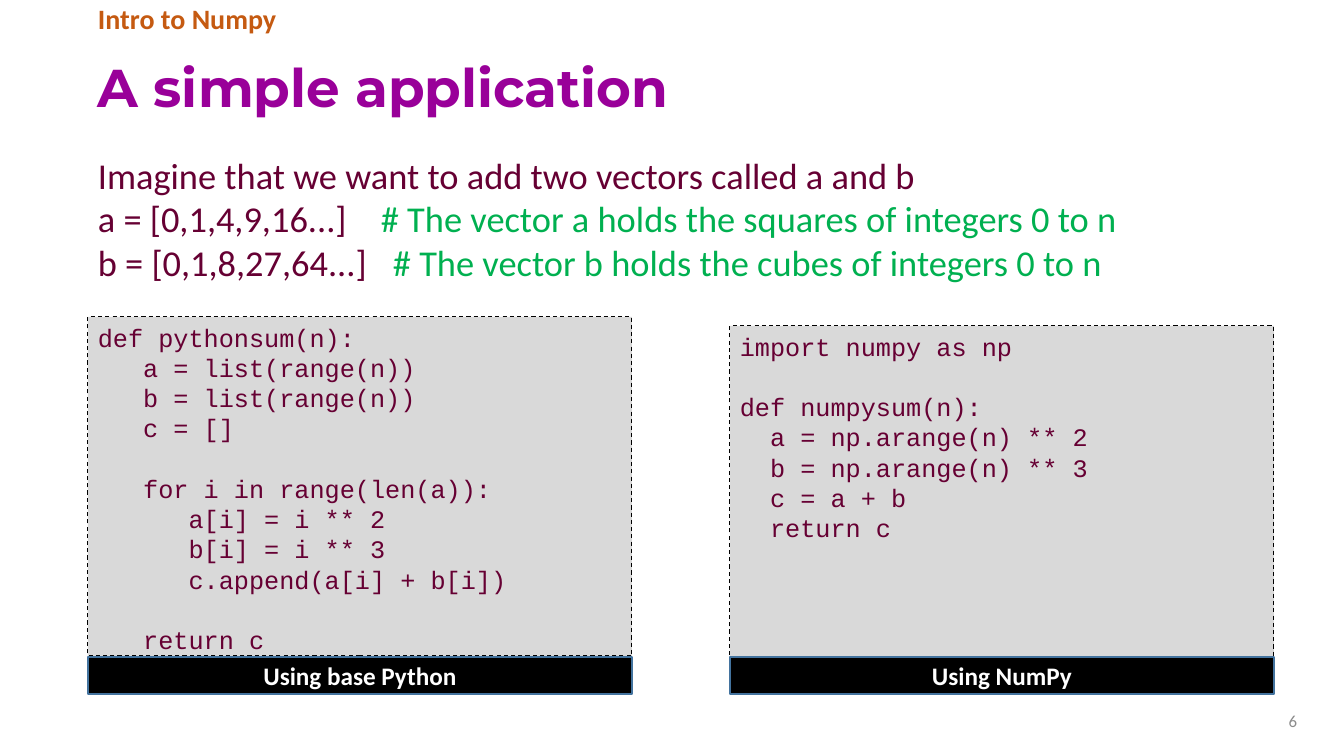
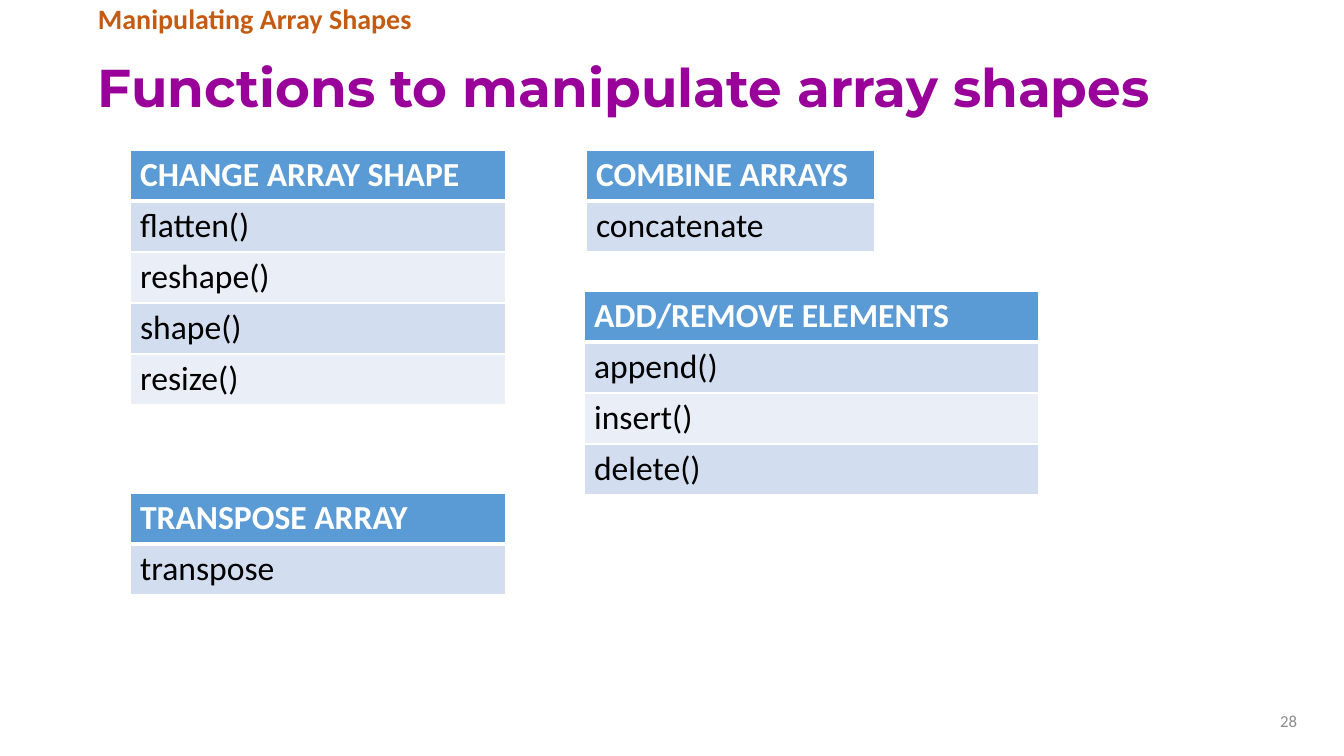
from lxml import etree
from pptx import Presentation
from pptx.dml.color import RGBColor
from pptx.enum.dml import MSO_LINE
from pptx.enum.shapes import MSO_SHAPE
from pptx.enum.text import MSO_ANCHOR as ANCHOR, PP_ALIGN as ALIGN
from pptx.oxml.ns import qn
from pptx.util import Emu, Pt

# 100.8 px to the inch
EMU_PER_PX = 914400 / 100.8


def px(length):
    return Emu(round(length * EMU_PER_PX))


def rgb(color):
    return RGBColor.from_string(color)


class Deck:
    BODY, CODE, HEADING = "Calibri", "Courier New", "Montserrat"
    WHITE, BLACK = "FFFFFF", "000000"
    PURPLE, ORANGE, WINE, GREEN = "990099", "C55A11", "660033", "00B050"
    PANEL, CAPTION_LINE, NUMBER = "D9D9D9", "43739E", "8C8C8C"
    TABLE_HEAD, BANDS = "5B9BD5", ("D2DEEF", "EAEFF7")
    LEFT, CONTENT_WIDTH, ROW_HEIGHT = 88, 1219, 51

    def __init__(self):
        self.prs = Presentation()
        self.prs.slide_width, self.prs.slide_height = px(1344), px(756)
        self.slide = None

    # Text helpers
    def run(self, paragraph, text, size, color, font=BODY, bold=False):
        run = paragraph.add_run()
        run.text = text
        run.font.size, run.font.name, run.font.bold = Pt(size), font, bold
        run.font.color.rgb = rgb(color)

    def paragraphs(self, frame, count):
        frame.word_wrap = True
        return [frame.paragraphs[0]] + [frame.add_paragraph() for _ in range(count - 1)]

    def text_box(self, left, top, width, height, anchor=ANCHOR.TOP):
        box = self.slide.shapes.add_textbox(px(left), px(top), px(width), px(height))
        box.text_frame.vertical_anchor = anchor
        return box.text_frame

    def line(self, frame, text, size, color, align=ALIGN.LEFT, spacing=None, **style):
        paragraph = self.paragraphs(frame, 1)[0]
        paragraph.alignment, paragraph.line_spacing = align, spacing
        self.run(paragraph, text, size, color, **style)

    # Shared slide parts
    def new_slide(self, section, title, number):
        self.slide = self.prs.slides.add_slide(self.prs.slide_layouts[6])
        self.line(self.text_box(self.LEFT, 0, self.CONTENT_WIDTH, 41),
                  section, 20, self.ORANGE, spacing=0.9, bold=True)
        self.line(self.text_box(self.LEFT, 41, self.CONTENT_WIDTH, 98, ANCHOR.MIDDLE),
                  title, 38, self.PURPLE, spacing=0.9, font=self.HEADING, bold=True)
        self.line(self.text_box(978, 701, 329, 40, ANCHOR.MIDDLE),
                  number, 12, self.NUMBER, ALIGN.RIGHT)

    # Statement lines, each with an optional comment at its own tab stop
    def statements(self, top, height, rows):
        frame = self.text_box(self.LEFT, top, self.CONTENT_WIDTH, height)
        for paragraph, (code, comment, stop) in zip(self.paragraphs(frame, len(rows)), rows):
            self.run(paragraph, code, 26, self.WINE)
            if comment:
                tabs = etree.SubElement(paragraph._p.get_or_add_pPr(), qn("a:tabLst"))
                etree.SubElement(tabs, qn("a:tab"), pos=str(px(stop)), algn="l")
                self.run(paragraph, "\t" + comment, 26, self.GREEN)

    def rectangle(self, left, top, width, height, fill, line, weight):
        shape = self.slide.shapes.add_shape(
            MSO_SHAPE.RECTANGLE, px(left), px(top), px(width), px(height))
        shape.shadow.inherit = False
        shape.fill.solid()
        shape.fill.fore_color.rgb = rgb(fill)
        shape.line.color.rgb = rgb(line)
        shape.line.width = Pt(weight)
        return shape

    # Code panel with a caption bar; each block after the first is set off by one line
    def code_panel(self, left, top, blocks, caption):
        panel = self.rectangle(left, top, 544, 339, self.PANEL, self.BLACK, 0.75)
        panel.line.dash_style = MSO_LINE.DASH
        panel.text_frame.vertical_anchor = ANCHOR.TOP
        code = [(text, i > 0 and j == 0)
                for i, block in enumerate(blocks) for j, text in enumerate(block)]
        for paragraph, (text, set_off) in zip(
                self.paragraphs(panel.text_frame, len(code)), code):
            paragraph.alignment = ALIGN.LEFT
            paragraph.space_before = Pt(21.6 if set_off else 0)
            self.run(paragraph, text, 18, self.WINE, self.CODE)
        bar = self.rectangle(left, 657, 544, 37, self.BLACK, self.CAPTION_LINE, 1)
        bar.text_frame.vertical_anchor = ANCHOR.MIDDLE
        self.line(bar.text_frame, caption, 18, self.WHITE, ALIGN.CENTER, bold=True)

    # One-column table: heading, then banded rows
    def borders(self, cell, top, bottom):
        properties = cell._tc.get_or_add_tcPr()
        for side, weight in (("L", 1), ("R", 1), ("T", top), ("B", bottom)):
            edge = etree.SubElement(properties, qn("a:ln" + side), w=str(Pt(weight)))
            fill = etree.SubElement(edge, qn("a:solidFill"))
            etree.SubElement(fill, qn("a:srgbClr"), val=self.WHITE)

    def function_table(self, left, top, width, heading, functions):
        entries = [heading, *functions]
        table = self.slide.shapes.add_table(
            len(entries), 1, px(left), px(top), px(width),
            px(self.ROW_HEIGHT * len(entries))).table
        table.horz_banding = False
        for i, entry in enumerate(entries):
            is_head = i == 0
            cell = table.cell(i, 0)
            self.borders(cell, 3 if i == 1 else 1, 3 if is_head else 1)
            cell.fill.solid()
            cell.fill.fore_color.rgb = rgb(
                self.TABLE_HEAD if is_head else self.BANDS[(i - 1) % 2])
            self.line(cell.text_frame, entry, 24,
                      self.WHITE if is_head else self.BLACK, bold=is_head)


def main():
    deck = Deck()

    # Vector addition in two ways
    deck.new_slide("Intro to Numpy", "A simple application", "6")
    deck.statements(148, 150, [
        ("Imagine that we want to add two vectors called a and b", None, 0),
        ("a = [0,1,4,9,16...]", "# The vector a holds the squares of integers 0 to n", 283),
        ("b = [0,1,8,27,64...]", "# The vector b holds the cubes of integers 0 to n", 295),
    ])
    deck.code_panel(88, 317, [
        ["def pythonsum(n):",
         "   a = list(range(n))",
         "   b = list(range(n))",
         "   c = []"],
        ["   for i in range(len(a)):",
         "      a[i] = i ** 2",
         "      b[i] = i ** 3",
         "      c.append(a[i] + b[i])"],
        ["   return c"],
    ], "Using base Python")
    deck.code_panel(730, 326, [
        ["import numpy as np"],
        ["def numpysum(n):",
         "  a = np.arange(n) ** 2",
         "  b = np.arange(n) ** 3",
         "  c = a + b",
         "  return c"],
    ], "Using NumPy")

    # Array functions by purpose
    deck.new_slide("Manipulating Array Shapes", "Functions to manipulate array shapes", "28")
    for left, top, width, heading, functions in (
        (130, 150, 376, "CHANGE ARRAY SHAPE", ["flatten()", "reshape()", "shape()", "resize()"]),
        (130, 493, 376, "TRANSPOSE ARRAY", ["transpose"]),
        (586, 150, 289, "COMBINE ARRAYS", ["concatenate"]),
        (584, 291, 455, "ADD/REMOVE ELEMENTS", ["append()", "insert()", "delete()"]),
    ):
        deck.function_table(left, top, width, heading, functions)

    deck.prs.save("out.pptx")


if __name__ == "__main__":
    main()
